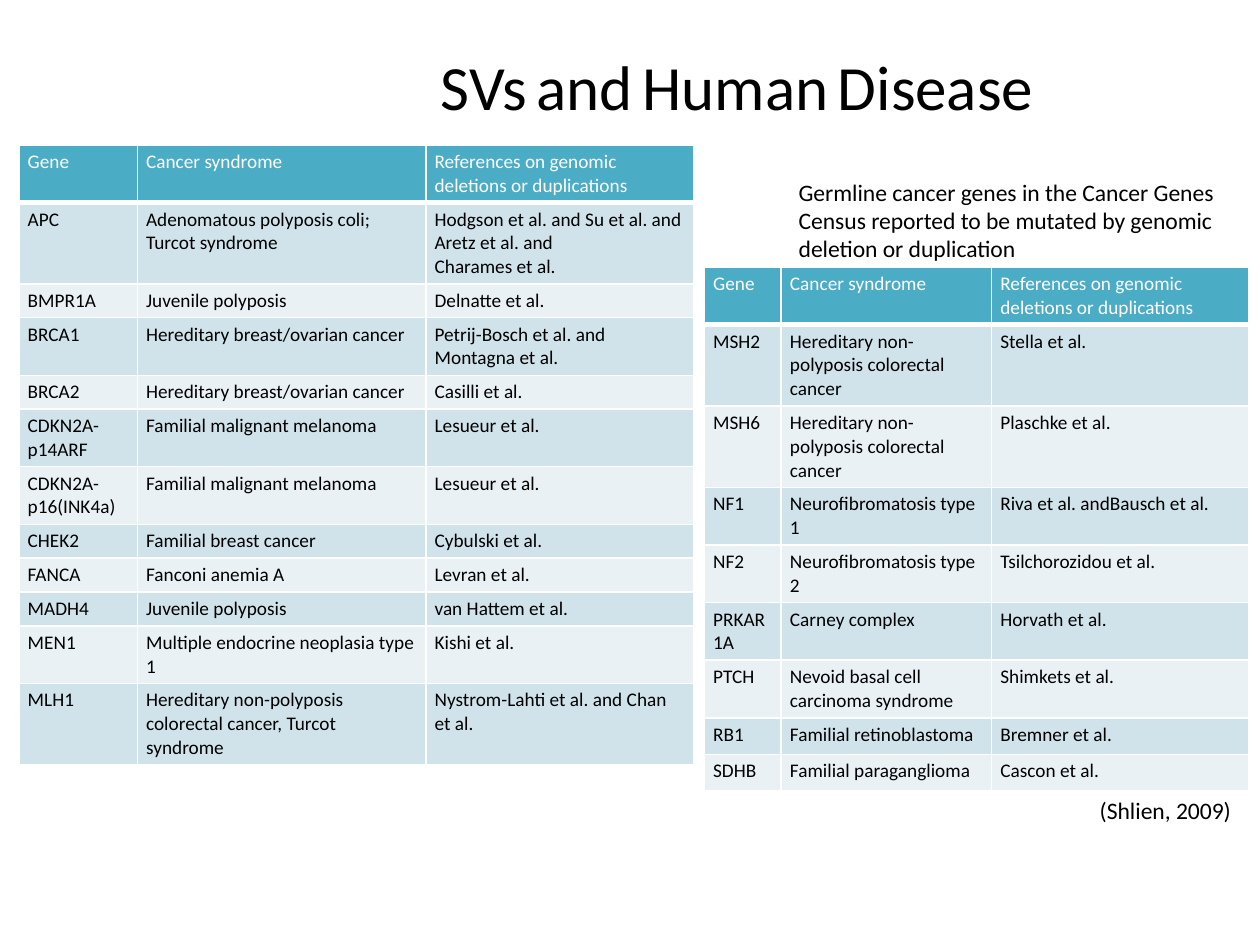
import pptx
import pptx.dml.color
import pptx.enum.text
import pptx.oxml
import pptx.oxml.ns
import pptx.util

Inches = pptx.util.Inches
Pt = pptx.util.Pt

COLORS = {"header": "4BACC6", "odd": "D0E3EA", "even": "E9F1F5",
          "white": "FFFFFF", "black": "000000"}
FONT = "Calibri"

# Content
TITLE = ["SVs", "and", "Human", "Disease"]
HEADINGS = ("Gene", "Cancer syndrome", "References on genomic deletions or duplications")
TABLES = [
    {
        "left": 0.15, "top": 1.15,
        "columns": (0.94, 2.29, 2.13),
        "heights": (0.42, 0.6, 0.25, 0.42, 0.25, 0.42, 0.42, 0.25, 0.25, 0.25, 0.36, 0.51),
        "rows": [
            ("APC", "Adenomatous polyposis coli; Turcot syndrome",
             "Hodgson et al. and Su et al. and Aretz et al. and\nCharames et al."),
            ("BMPR1A", "Juvenile polyposis", "Delnatte et al."),
            ("BRCA1", "Hereditary breast/ovarian cancer", "Petrij-Bosch et al. and Montagna et al."),
            ("BRCA2", "Hereditary breast/ovarian cancer", "Casilli et al."),
            ("CDKN2A-p14ARF", "Familial malignant melanoma", "Lesueur et al."),
            ("CDKN2A-p16(INK4a)", "Familial malignant melanoma", "Lesueur et al."),
            ("CHEK2", "Familial breast cancer", "Cybulski et al."),
            ("FANCA", "Fanconi anemia A", "Levran et al."),
            ("MADH4", "Juvenile polyposis", "van Hattem et al."),
            ("MEN1", "Multiple endocrine neoplasia type 1", "Kishi et al."),
            ("MLH1", "Hereditary non-polyposis colorectal cancer, Turcot syndrome",
             "Nystrom-Lahti et al. and Chan et al."),
        ],
    },
    {
        "left": 5.59, "top": 2.12,
        "columns": (0.61, 1.67, 2.04),
        "heights": (0.42, 0.42, 0.42, 0.29, 0.29, 0.42, 0.42, 0.29, 0.29),
        "rows": [
            ("MSH2", "Hereditary non-polyposis colorectal cancer", "Stella et al."),
            ("MSH6", "Hereditary non-polyposis colorectal cancer", "Plaschke et al."),
            ("NF1", "Neurofibromatosis type 1", "Riva et al. andBausch et al."),
            ("NF2", "Neurofibromatosis type 2", "Tsilchorozidou et al."),
            ("PRKAR1A", "Carney complex", "Horvath et al."),
            ("PTCH", "Nevoid basal cell carcinoma syndrome", "Shimkets et al."),
            ("RB1", "Familial retinoblastoma", "Bremner et al."),
            ("SDHB", "Familial paraganglioma", "Cascon et al."),
        ],
    },
]
# Text, place, wrapping
NOTES = [
    ("Germline cancer genes in the Cancer Genes Census reported to be mutated "
     "by genomic deletion or duplication", (6.24, 1.36, 3.68, 0.78), True),
    ("(Shlien, 2009)", (8.63, 6.27, 1.26, 0.33), False),
]
CELL_FORMAT = {"margin_left": Inches(0.07), "margin_right": Inches(0.07),
               "margin_top": Inches(0.04), "margin_bottom": Inches(0.04)}


def set_font(font, size, color):
    for name, value in {"name": FONT, "size": Pt(size), "bold": False}.items():
        setattr(font, name, value)
    font.color.rgb = pptx.dml.color.RGBColor.from_string(COLORS[color])


def add_borders(cell, bottom):
    properties = cell._tc.get_or_add_tcPr()
    for side, width in {"L": 1, "R": 1, "T": 1, "B": bottom}.items():
        properties.append(pptx.oxml.parse_xml(
            f'<a:ln{side} {pptx.oxml.ns.nsdecls("a")} w="{Pt(width)}"><a:solidFill>'
            f'<a:srgbClr val="{COLORS["white"]}"/></a:solidFill></a:ln{side}>'))


def add_gene_table(page, data):
    rows = [HEADINGS] + data["rows"]
    columns, heights = data["columns"], data["heights"]
    table = page.shapes.add_table(
        len(rows), len(columns), Inches(data["left"]), Inches(data["top"]),
        Inches(sum(columns)), Inches(sum(heights))).table
    for column, width in zip(table.columns, columns):
        column.width = Inches(width)
    for index, (row, height, texts) in enumerate(zip(table.rows, heights, rows)):
        row.height = Inches(height)
        fill = "header" if index == 0 else ("even", "odd")[index % 2]
        for cell, text in zip(row.cells, texts):
            for name, value in CELL_FORMAT.items():
                setattr(cell, name, value)
            add_borders(cell, 1 if index else 3)
            cell.fill.solid()
            cell.fill.fore_color.rgb = pptx.dml.color.RGBColor.from_string(COLORS[fill])
            para = cell.text_frame.paragraphs[0]
            para.text = text
            for span in para.runs:
                set_font(span.font, 11, "black" if index else "white")


def add_text_box(page, place, wrap):
    frame = page.shapes.add_textbox(*map(Inches, place)).text_frame
    frame.word_wrap = wrap
    frame.auto_size = pptx.enum.text.MSO_AUTO_SIZE.SHAPE_TO_FIT_TEXT
    return frame.paragraphs[0]


def main():
    deck = pptx.Presentation()
    deck.slide_width, deck.slide_height = Inches(10), Inches(7.5)
    page = deck.slides.add_slide(deck.slide_layouts[6])

    # Gene tables
    for data in TABLES:
        add_gene_table(page, data)

    # Title, with smaller spaces between the words
    para = add_text_box(page, (3.38, 0.33, 4.94, 0.71), False)
    para.alignment = pptx.enum.text.PP_ALIGN.CENTER
    for index, word in enumerate(TITLE):
        for text, size in ([(" ", 24)] if index else []) + [(word, 36)]:
            span = para.add_run()
            span.text = text
            set_font(span.font, size, "black")

    # Caption and citation
    for text, place, wrap in NOTES:
        span = add_text_box(page, place, wrap).add_run()
        span.text = text
        set_font(span.font, 13.5, "black")

    deck.save("out.pptx")


if __name__ == "__main__":
    main()
